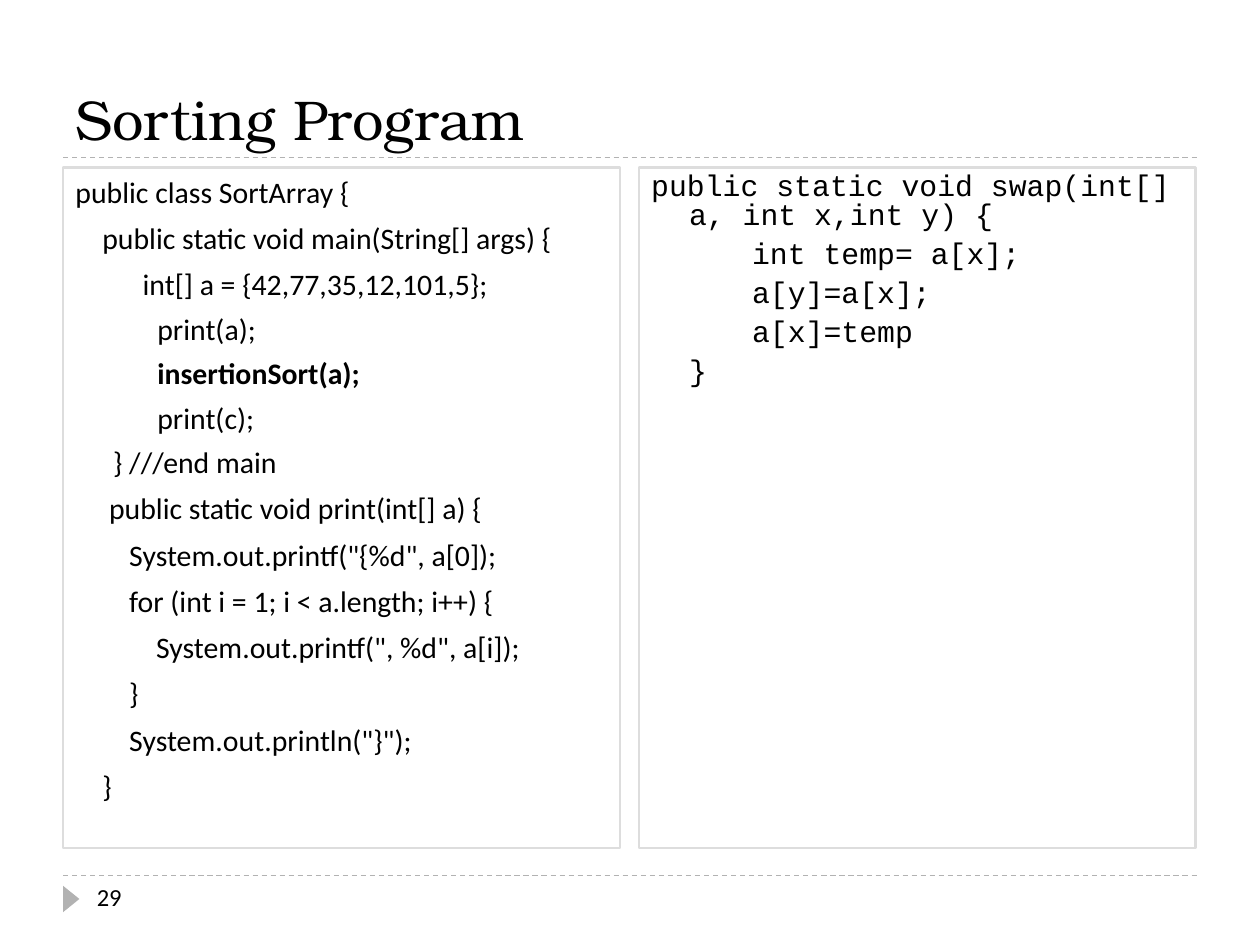
from lxml import etree
from pptx import Presentation
from pptx.dml.color import RGBColor
from pptx.enum import dml, shapes, text
from pptx.oxml.ns import qn
from pptx.util import Inches, Pt

COLORS = {"ink": "000000", "paper": "FFFFFF", "frame": "DDDDDD", "rule": "B2B2B2"}

# Paragraph levels: left margin, hanging indent, space before
LEVELS = [(0.3, -0.3, 6), (0.6, -0.3, 5), (0.9, -0.25, 5)]

# Code lines: level, text, bold
SORT_CODE = [
    (0, "public class SortArray {", False),
    (0, "    public static void main(String[] args) {", False),
    (0, "          int[] a = {42,77,35,12,101,5};", False),
    (2, "print(a);", False),
    (2, "insertionSort(a);", True),
    (2, "print(c);", False),
    (1, "} ///end main", False),
    (0, "     public static void print(int[] a) {", False),
    (0, '        System.out.printf("{%d", a[0]);', False),
    (0, "        for (int i = 1; i < a.length; i++) {", False),
    (0, '            System.out.printf(", %d", a[i]);', False),
    (0, "        }", False),
    (0, '        System.out.println("}");', False),
    (0, "    }", False),
]
SWAP_CODE = [
    (0, "public static void swap(int[] a, int x,int y) {", False),
    (0, "\t\tint temp= a[x];", False),
    (0, "\t\ta[y]=a[x];", False),
    (0, "\t\ta[x]=temp", False),
    (0, "\t}", False),
]


def color(name):
    return RGBColor.from_string(COLORS[name])


def set_values(target, values):
    for name, value in values.items():
        setattr(target, name, value)


def write(para, words, font, size, bold=False):
    span = para.add_run()
    span.text = words
    set_values(span.font, {"name": font, "size": Pt(size), "bold": bold})
    span.font.color.rgb = color("ink")


def add_label(page, place, words, font, size, anchor):
    box = page.shapes.add_textbox(*map(Inches, place))
    set_values(box.text_frame, {"word_wrap": True, "vertical_anchor": anchor})
    write(box.text_frame.paragraphs[0], words, font, size)


def add_rule(page, y):
    rule = page.shapes.add_connector(
        shapes.MSO_CONNECTOR.STRAIGHT, Inches(0.5), Inches(y), Inches(9.5), Inches(y))
    rule.line.color.rgb = color("rule")
    set_values(rule.line, {"width": Pt(0.75), "dash_style": dml.MSO_LINE.DASH})
    etree.SubElement(rule._element.spPr, qn("a:effectLst"))


def add_filled(page, kind, place, fill):
    shape = page.shapes.add_shape(kind, *map(Inches, place))
    shape.shadow.inherit = False
    shape.fill.solid()
    shape.fill.fore_color.rgb = color(fill)
    return shape


def add_code_panel(page, left, lines, font, line_spacing):
    panel = add_filled(page, shapes.MSO_SHAPE.RECTANGLE, (left, 1.33, 4.42, 5.4), "paper")
    panel.line.color.rgb = color("frame")
    panel.line.width = Pt(1.5)
    frame = panel.text_frame
    set_values(frame, {"word_wrap": True, "vertical_anchor": text.MSO_ANCHOR.TOP})
    for number, (level, words, bold) in enumerate(lines):
        para = frame.add_paragraph() if number else frame.paragraphs[0]
        margin, indent, before = LEVELS[level]
        properties = para._p.get_or_add_pPr()
        properties.set("marL", str(Inches(margin)))
        properties.set("indent", str(Inches(indent)))
        set_values(para, {
            "level": level,
            "alignment": text.PP_ALIGN.LEFT,
            "line_spacing": line_spacing,
            "space_before": Pt(before if number else 0),
        })
        write(para, words, font, 17, bold)


def main():
    deck = Presentation()
    set_values(deck, {"slide_width": Inches(10), "slide_height": Inches(7.5)})
    page = deck.slides.add_slide(deck.slide_layouts[6])

    # Rules and page marker
    for y in (6.95, 1.25):
        add_rule(page, y)
    marker = add_filled(
        page, shapes.MSO_SHAPE.ISOSCELES_TRIANGLE, (0.46, 7.07, 0.21, 0.13), "rule")
    marker.rotation = 90
    marker.line.fill.background()

    # Title
    add_label(page, (0.5, 0.25, 9, 1), "Sorting Program", "TeX Gyre Bonum", 32,
              text.MSO_ANCHOR.BOTTOM)

    # Code panels
    add_code_panel(page, 0.5, SORT_CODE, "Calibri", 1.0)
    add_code_panel(page, 5.07, SWAP_CODE, "Courier New", 0.8)

    # Page number
    add_label(page, (0.67, 6.95, 2.17, 0.4), "29", "Calibri", 14, text.MSO_ANCHOR.TOP)

    deck.save("out.pptx")


if __name__ == "__main__":
    main()
